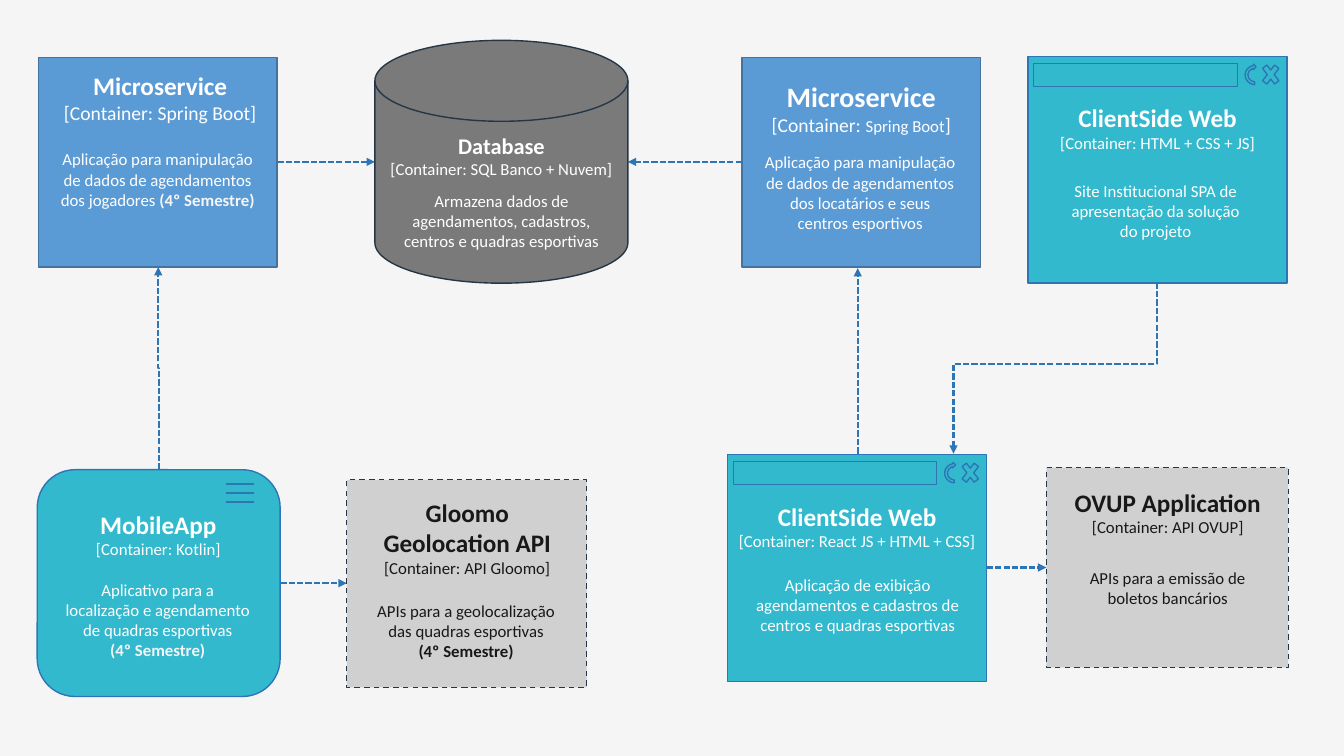
from dataclasses import dataclass
from typing import NamedTuple

import pptx
import pptx.dml.color
import pptx.enum.dml
import pptx.enum.shapes
import pptx.enum.text
import pptx.oxml.ns
import pptx.util

Pt = pptx.util.Pt
RGB = pptx.dml.color.RGBColor.from_string
Shape = pptx.enum.shapes.MSO_SHAPE
Connector = pptx.enum.shapes.MSO_CONNECTOR
Dash = pptx.enum.dml.MSO_LINE
qn = pptx.oxml.ns.qn


class Box(NamedTuple):
    left: float
    top: float
    width: float
    height: float


class Run(NamedTuple):
    text: str
    bold: bool = False
    size: float | None = None


class Style(NamedTuple):
    fill: str
    line: str
    text: str
    accent: str
    dashed: bool = False


# Colours and type sizes
@dataclass(frozen=True)
class Theme:
    font: str = "Calibri"
    background: str = "F5F5F5"
    arrow: str = "2E75B6"
    arrow_width: float = 1.5
    outline_width: float = 1
    body: float = 12
    name: float = 18
    service: Style = Style("5B9BD5", "43739E", "FFFFFF", "F5F5F5")
    client: Style = Style("32B9CD", "2E75B6", "FFFFFF", "F5F5F5")
    database: Style = Style("7A7A7A", "253746", "FFFFFF", "F5F5F5")
    external: Style = Style("D0D0D0", "253746", "181818", "181818", True)


THEME = Theme()


@dataclass(frozen=True)
class Container:
    style: Style
    box: Box
    name: str
    tech: list[Run]
    heading_box: Box
    purpose: list[list[Run]]
    purpose_box: Box
    shape: Shape = Shape.RECTANGLE
    name_size: float = THEME.name
    tech_size: float = THEME.body
    browser: bool = False
    menu: bool = False


class Arrow(NamedTuple):
    x1: float
    y1: float
    x2: float
    y2: float
    bent: bool = False


SEMESTER = Run("(4º Semestre)", bold=True)

CONTAINERS = [
    Container(THEME.external, Box(247.7, 342.7, 171.4, 148.3),
              "Gloomo Geolocation API", [Run("[Container: API Gloomo]")],
              Box(254.2, 351.4, 159.1, 65.5),
              [[Run("APIs para a geolocalização das quadras esportivas")], [SEMESTER]],
              Box(260.6, 425.5, 144.7, 51.1)),
    Container(THEME.database, Box(267.8, 28.8, 180.7, 173.5),
              "Database", [Run("[Container: SQL Banco + Nuvem]")],
              Box(270, 90.7, 176.4, 41),
              [[Run("Armazena dados de agendamentos, cadastros, centros e quadras esportivas")]],
              Box(275.8, 132.5, 164.9, 51.1),
              shape=Shape.FLOWCHART_MAGNETIC_DISK, name_size=16),
    Container(THEME.client, Box(26.6, 335.5, 173.5, 162),
              "MobileApp", [Run("[Container: Kotlin]")],
              Box(16.6, 360, 193, 43.9),
              [[Run("Aplicativo para a localização e agendamento de quadras esportivas")], [SEMESTER]],
              Box(38.9, 410.4, 147.6, 65.5),
              shape=Shape.ROUNDED_RECTANGLE, menu=True),
    Container(THEME.service, Box(529.9, 41, 170.6, 149.8),
              "Microservice", [Run("[Container: "), Run("Spring Boot", size=12), Run("]")],
              Box(529.9, 53.3, 170.6, 48.2),
              [[Run("Aplicação para manipulação de dados de agendamentos dos locatários e seus centros esportivos")]],
              Box(537.8, 105.1, 153.4, 65.5), name_size=20, tech_size=14),
    Container(THEME.external, Box(747.4, 334.1, 172.8, 142.6),
              "OVUP Application", [Run("[Container: API OVUP]")],
              Box(747.4, 344.2, 173.5, 43.9),
              [[Run("APIs para a emissão de boletos bancários")]],
              Box(764.6, 401.8, 139, 36)),
    Container(THEME.client, Box(519.8, 324.7, 185, 162),
              "ClientSide Web", [Run("[Container: React JS + HTML + CSS]")],
              Box(519.8, 354.2, 185, 43.9),
              [[Run("Aplicação de exibição agendamentos e cadastros de centros e quadras esportivas")]],
              Box(516.2, 406.8, 193, 51.1), browser=True),
    Container(THEME.service, Box(27.4, 41, 170.6, 149.8),
              "Microservice", [Run("[Container: Spring Boot]")],
              Box(29.5, 46.8, 169.9, 47.5),
              [[Run("Aplicação para manipulação de dados de agendamentos dos jogadores "), SEMESTER]],
              Box(33.1, 103, 159.1, 51.1), tech_size=14),
    Container(THEME.client, Box(734.4, 40.3, 185, 162),
              "ClientSide Web", [Run("[Container: HTML + CSS + JS]")],
              Box(734.4, 69.8, 185, 43.9),
              [[Run("Site Institucional SPA de apresentação da solução do projeto")]],
              Box(753.1, 125.3, 144.7, 51.1), browser=True),
]

ARROWS = [
    Arrow(826.6, 195.8, 681.1, 324, bent=True),
    Arrow(113.8, 335.5, 113, 190.8, bent=True),
    Arrow(529.9, 115.6, 448.5, 115.6),
    Arrow(198, 115.6, 267.8, 115.6),
    Arrow(612.7, 324, 612.7, 191.5),
    Arrow(704.8, 405.4, 747.4, 405.4),
    Arrow(200.2, 416.6, 247.7, 416.6),
]


def add_outline(slide, kind: Shape, box: Box, line: str, fill: str | None = None):
    shape = slide.shapes.add_shape(kind, *map(Pt, box))
    shape.shadow.inherit = False
    if fill:
        shape.fill.solid()
        shape.fill.fore_color.rgb = RGB(fill)
    else:
        shape.fill.background()
    shape.line.color.rgb = RGB(line)
    shape.line.width = Pt(THEME.outline_width)
    return shape


def add_line(slide, kind: Connector, ends: tuple[float, ...], width: float):
    line = slide.shapes.add_connector(kind, *map(Pt, ends))
    line.line.color.rgb = RGB(THEME.arrow)
    line.line.width = Pt(width)
    line._element.spPr.append(pptx.oxml.parse_xml(f"<a:effectLst {pptx.oxml.ns.nsdecls('a')}/>"))
    return line


def add_arrow(slide, arrow: Arrow) -> None:
    x1, y1, x2, y2, bent = arrow
    if bent:
        # Turn a horizontal elbow so that it leaves and arrives vertically
        down = y2 > y1
        half_length, half_drop = abs(y2 - y1) / 2, abs(x2 - x1) / 2
        if down == (x2 > x1):
            half_drop = -half_drop
        mid_x, mid_y = (x1 + x2) / 2, (y1 + y2) / 2
        line = add_line(slide, Connector.ELBOW,
                        (mid_x - half_length, mid_y - half_drop,
                         mid_x + half_length, mid_y + half_drop), THEME.arrow_width)
        line._element.spPr.find(qn("a:xfrm")).set("rot", str((90 if down else 270) * 60000))
    else:
        line = add_line(slide, Connector.STRAIGHT, (x1, y1, x2, y2), THEME.arrow_width)
    line.line.dash_style = Dash.SQUARE_DOT
    line.line._get_or_add_ln().append(
        pptx.oxml.parse_xml(f"<a:tailEnd {pptx.oxml.ns.nsdecls('a')} type='triangle'/>"))


def write_paragraph(paragraph, runs: list[Run], size: float, style: Style) -> None:
    paragraph.alignment = pptx.enum.text.PP_ALIGN.CENTER
    uniform_bold = all(run.bold for run in runs)
    font = paragraph.font
    font.name, font.size, font.bold = THEME.font, Pt(size), uniform_bold
    font.color.rgb = RGB(style.accent if uniform_bold else style.text)
    for part in runs:
        run = paragraph.add_run()
        run.text = part.text
        if part.size:
            run.font.size = Pt(part.size)
        if part.bold and not uniform_bold:
            run.font.bold = True
            run.font.color.rgb = RGB(style.accent)


def add_text(slide, box: Box, paragraphs: list[tuple[list[Run], float]], style: Style) -> None:
    frame = slide.shapes.add_textbox(*map(Pt, box)).text_frame
    frame.word_wrap = True
    for index, (runs, size) in enumerate(paragraphs):
        paragraph = frame.add_paragraph() if index else frame.paragraphs[0]
        write_paragraph(paragraph, runs, size, style)


def add_container(slide, item: Container) -> None:
    style, (left, top, _, _) = item.style, item.box
    body = add_outline(slide, item.shape, item.box, style.line, style.fill)
    if style.dashed:
        body.line.dash_style = Dash.DASH
    if item.browser:
        # Address bar, close and reload icons
        add_outline(slide, Shape.RECTANGLE, Box(left + 4, top + 5, 145.4, 16.6), style.line)
        add_outline(slide, Shape.MATH_MULTIPLY, Box(left + 165, top + 2.2, 16.6, 21.6), style.line)
        reload = add_outline(slide, Shape.CIRCULAR_ARROW, Box(left + 154.4, top + 5, 15.8, 16.6), style.line)
        reload.rotation = 275
    if item.menu:
        for row in range(3):
            y = top + 10.1 + row * 6.5
            add_line(slide, Connector.STRAIGHT, (left + 134.7, y, left + 154.8, y), THEME.outline_width)
    heading = [([Run(item.name, bold=True)], item.name_size), (item.tech, item.tech_size)]
    add_text(slide, item.heading_box, heading, style._replace(accent=style.text))
    add_text(slide, item.purpose_box, [(runs, THEME.body) for runs in item.purpose], style)


def main() -> None:
    deck = pptx.Presentation()
    deck.slide_width, deck.slide_height = Pt(960), Pt(540)
    slide = deck.slides.add_slide(deck.slide_layouts[6])
    slide.background.fill.solid()
    slide.background.fill.fore_color.rgb = RGB(THEME.background)
    for arrow in ARROWS:
        add_arrow(slide, arrow)
    for item in CONTAINERS:
        add_container(slide, item)
    deck.save("out.pptx")


if __name__ == "__main__":
    main()
